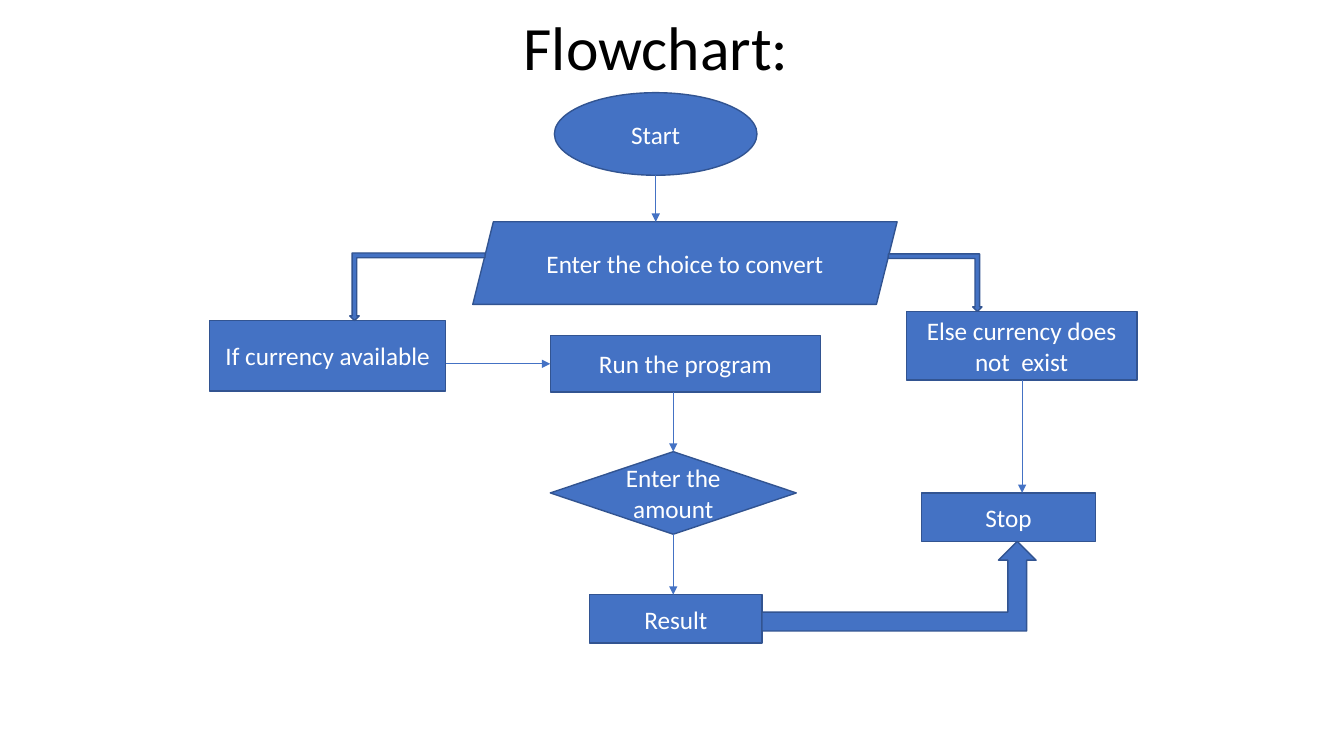
from lxml.etree import SubElement
from pptx import Presentation
from pptx.dml.color import RGBColor
from pptx.enum.shapes import MSO_CONNECTOR, MSO_SHAPE
from pptx.enum.text import MSO_ANCHOR, PP_ALIGN
from pptx.oxml.ns import qn
from pptx.util import Pt

COLORS = {"fill": "4472C4", "outline": "325491", "light": "FFFFFF", "title": "000000"}
FONT = "Calibri"

STEPS = [
    (MSO_SHAPE.OVAL, "Start", 396, 66.2, 144.7, 59),
    (MSO_SHAPE.PARALLELOGRAM, "Enter the choice to convert", 337.7, 158.4, 303.1, 59),
    (MSO_SHAPE.RECTANGLE, "Run the program", 393.1, 239.8, 193, 40.3),
    (MSO_SHAPE.DIAMOND, "Enter the amount", 393.1, 322.6, 175.7, 59),
    (MSO_SHAPE.RECTANGLE, "If currency available", 149.8, 229, 168.5, 50.4),
    (MSO_SHAPE.RECTANGLE, "Else currency does not  exist", 647.3, 222.5, 164.9, 49),
    (MSO_SHAPE.RECTANGLE, "Stop", 658.1, 352.1, 124.6, 34.6),
    (MSO_SHAPE.RECTANGLE, "Result", 421.2, 424.8, 123.1, 34.6),
]

ARROWS = [
    (468.4, 125.2, 468.4, 158.4),
    (318.3, 259.9, 393.1, 259.9),
    (730.1, 271.5, 730.1, 352.1),
    (480.9, 280.1, 480.9, 322.6),
    (480.9, 381.6, 480.9, 424.8),
]

BENT_ARROWS = [
    (MSO_SHAPE.BENT_UP_ARROW, 249.8, 180.7, 96.6, 48.3, 180, (0.07, 0.07, 0.07)),
    (MSO_SHAPE.BENT_ARROW, 647.45, 168.55, 41.1, 66.8, 90, (0.08, 0.08, 0.08, 0)),
    (MSO_SHAPE.BENT_UP_ARROW, 544.3, 386.7, 195.8, 64, 0, (0.21, 0.21, 0.21)),
]


def color(name):
    return RGBColor.from_string(COLORS[name])


def write_text(shape, text, size, color_name):
    frame = shape.text_frame
    frame.word_wrap = True
    frame.vertical_anchor = MSO_ANCHOR.MIDDLE
    frame.text = text
    para = frame.paragraphs[0]
    para.alignment = PP_ALIGN.CENTER
    font = para.runs[0].font
    font.name = FONT
    font.size = Pt(size)
    font.color.rgb = color(color_name)
    return para


def add_title(page, text):
    box = page.shapes.add_textbox(Pt(54.7), Pt(-15.8), Pt(828), Pt(104.4))
    write_text(box, text, 44, "title").line_spacing = 0.9


def add_block(page, kind, left, top, width, height):
    shape = page.shapes.add_shape(kind, Pt(left), Pt(top), Pt(width), Pt(height))
    shape.shadow.inherit = False
    shape.fill.solid()
    shape.fill.fore_color.rgb = color("fill")
    shape.line.color.rgb = color("outline")
    shape.line.width = Pt(1)
    return shape


def add_step(page, kind, text, left, top, width, height):
    shape = add_block(page, kind, left, top, width, height)
    write_text(shape, text, 18, "light")


def add_bent_arrow(page, kind, left, top, width, height, rotation, adjustments):
    shape = add_block(page, kind, left, top, width, height)
    shape.rotation = rotation
    for index, value in enumerate(adjustments):
        shape.adjustments[index] = value


def add_arrow(page, *ends):
    arrow = page.shapes.add_connector(MSO_CONNECTOR.STRAIGHT, *map(Pt, ends))
    arrow.line.color.rgb = color("fill")
    arrow.line.width = Pt(0.5)
    SubElement(arrow.line._get_or_add_ln(), qn("a:tailEnd"), type="triangle")
    SubElement(arrow._element.spPr, qn("a:effectLst"))


def main():
    deck = Presentation()
    deck.slide_width = Pt(960)
    deck.slide_height = Pt(540)
    page = deck.slides.add_slide(deck.slide_layouts[6])

    add_title(page, "Flowchart:")
    for step in STEPS:
        add_step(page, *step)
    for ends in ARROWS:
        add_arrow(page, *ends)
    for bent_arrow in BENT_ARROWS:
        add_bent_arrow(page, *bent_arrow)

    deck.save("out.pptx")


if __name__ == "__main__":
    main()
